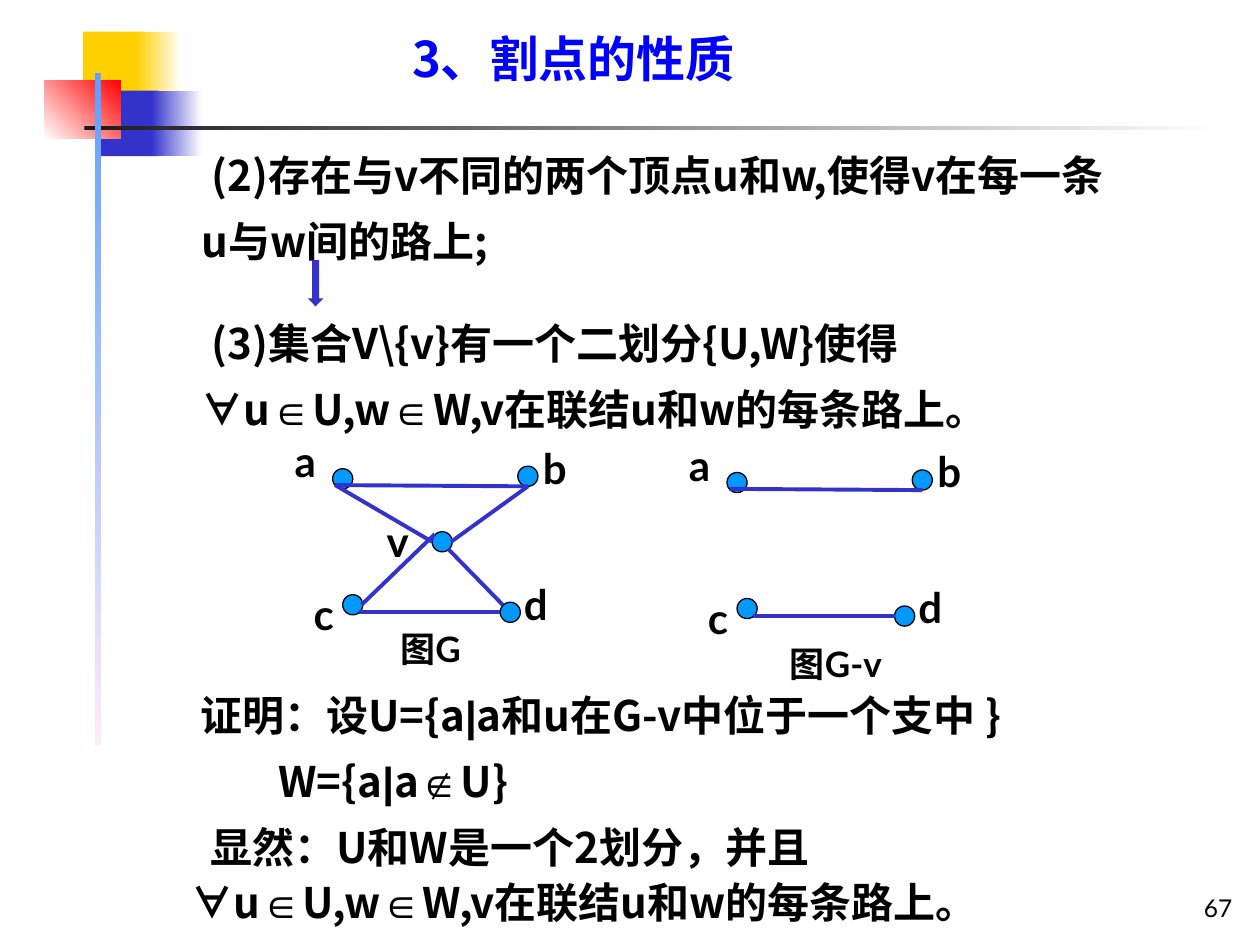
import itertools
from typing import NamedTuple

import pptx
import pptx.dml.color
import pptx.enum.shapes
import pptx.enum.text
import pptx.oxml.ns
import pptx.util
from lxml import etree

Inches = pptx.util.Inches
Pt = pptx.util.Pt
Kind = pptx.enum.shapes.MSO_SHAPE
Anchor = pptx.enum.text.MSO_ANCHOR
Align = pptx.enum.text.PP_ALIGN
Fit = pptx.enum.text.MSO_AUTO_SIZE
qn = pptx.oxml.ns.qn

HUES = {
    "gold": "FFCF01", "white": "FFFFFF", "navy": "3333CC", "red": "FF0000",
    "coal": "1C1C1C", "sky": "5E9EFF", "pink": "FFEBFA", "black": "000000",
    "mint": "00E4A8", "node": "0099FF", "title": "0000FF",
}
HAN = "Noto Sans CJK SC"
LATIN = "Lato"
MATH = "∀∈∉|"
SHIFT = (3.13, 0.03)


class Para(NamedTuple):
    text: str
    first: float = 0
    left: float = 0
    lead: float = 1
    gap: float = 0


class Block(NamedTuple):
    x: float
    y: float
    w: float
    h: float
    fill: str
    end: str = ""
    angle: int = 0


class Label(NamedTuple):
    text: str
    x: float
    y: float
    w: float


class Edge(NamedTuple):
    x1: float
    y1: float
    x2: float
    y2: float


BLOCKS = [
    Block(0.66, 0.25, 0.48, 0.52, "gold"),
    Block(1.08, 0.25, 0.36, 0.52, "gold", "white"),
    Block(0.8, 0.72, 0.46, 0.52, "navy"),
    Block(1.2, 0.72, 0.4, 0.52, "navy", "white"),
    Block(0.35, 0.64, 0.61, 0.46, "white", "red", 45),
    Block(0.67, 1, 9, 0.03, "coal", "white"),
    Block(0.75, 0.58, 0.05, 5.33, "sky", "pink", 270),
]
NODES = [(2.64, 3.72), (4.11, 3.7), (2.72, 4.72), (3.97, 4.78)]
HUB = (3.43, 4.22)
LABELS = [
    Label("a", 2.24, 3.41, 0.4), Label("b", 4.21, 3.46, 0.41),
    Label("c", 2.39, 4.62, 0.37), Label("d", 4.06, 4.54, 0.41),
]
SIDES = [Edge(2.66, 3.85, 4.19, 3.86), Edge(2.85, 4.86, 3.97, 4.86)]
SPOKES = [
    Edge(2.66, 3.85, 3.43, 4.3), Edge(3.58, 4.3, 4.19, 3.86),
    Edge(3.45, 4.24, 2.87, 4.8), Edge(3.56, 4.36, 3.99, 4.8),
]
NAMES = [Label("图G", 3.08, 4.93, 0.84), Label("图G-v", 6.17, 5.05, 1.2)]
CLAIM = "∀u∈U,w∈W,v在联结u和w的每条路上。"
TERMS = [
    Para("(2)存在与v不同的两个顶点u和w,使得v在每一条u与w间的路上;", 0.08, 0.38, 1.3),
    Para("(3)集合V\\{v}有一个二划分{U,W}使得" + CLAIM, 0.08, 0.38, 1.3, 21),
]
PROOF = [
    Para("证明：设U={a|a和u在G-v中位于一个支中 }", 0.07, 0.38, 1.1),
    Para("W={a|a∉U}", 0.69, 0.38, 1.1, 6),
    Para("显然：U和W是一个2划分，并且" + CLAIM, 0.15, 0.38, 1.1, 6),
]


def tint(name: str) -> pptx.dml.color.RGBColor:
    return pptx.dml.color.RGBColor.from_string(HUES[name])


def put_text(slide, paras: list[Para], x: float, y: float, w: float, h: float, *,
             size=24, font=LATIN, hue="black", bold=True, pad=True, wrap=False,
             align=Align.LEFT, anchor=Anchor.TOP, fit=Fit.SHAPE_TO_FIT_TEXT) -> None:
    box = slide.shapes.add_textbox(Inches(x), Inches(y), Inches(w), Inches(h))
    frame = box.text_frame
    frame.word_wrap = wrap
    frame.auto_size = fit
    frame.vertical_anchor = anchor
    if not pad:
        frame.margin_left = frame.margin_right = 0
        frame.margin_top = frame.margin_bottom = 0
    for i, para in enumerate(paras):
        line = frame.add_paragraph() if i else frame.paragraphs[0]
        line.alignment = align
        line.line_spacing = para.lead
        line.space_before = Pt(para.gap)
        props = line._p.get_or_add_pPr()
        props.set("marL", str(Inches(para.left)))
        props.set("indent", str(Inches(para.first)))
        for sign, chars in itertools.groupby(para.text, lambda c: c in MATH):
            run = line.add_run()
            run.text = "".join(chars)
            run.font.size = Pt(size)
            run.font.bold = bold
            run.font.color.rgb = tint(hue)
            run.font.name = "Arial" if sign else font
            east = etree.SubElement(run.font._element, qn("a:ea"))
            east.set("typeface", HAN)


def put_shape(slide, kind: Kind, x: float, y: float, w: float, h: float,
              fill: str, line: str = "", width: float = 0):
    shape = slide.shapes.add_shape(kind, Inches(x), Inches(y), Inches(w), Inches(h))
    shape.shadow.inherit = False
    shape.fill.solid()
    shape.fill.fore_color.rgb = tint(fill)
    if line:
        shape.line.color.rgb = tint(line)
        shape.line.width = Pt(width)
        join = etree.SubElement(shape._element.spPr.find(qn("a:ln")), qn("a:miter"))
        join.set("lim", "800000")
    else:
        shape.line.fill.background()
    return shape


def put_block(slide, block: Block) -> None:
    shape = put_shape(slide, Kind.RECTANGLE, *block[:5])
    if block.end:
        shape.fill.gradient()
        shape.fill.gradient_angle = block.angle
        for stop, name, spot in zip(shape.fill.gradient_stops, (block.fill, block.end), (0, 1)):
            stop.color.rgb = tint(name)
            stop.position = spot


def put_node(slide, x: float, y: float) -> None:
    put_shape(slide, Kind.OVAL, x, y, 0.16, 0.16, "node", "black", 0.75)


def put_edge(slide, edge: Edge, dx: float = 0, dy: float = 0) -> None:
    link = slide.shapes.add_connector(
        pptx.enum.shapes.MSO_CONNECTOR.STRAIGHT,
        Inches(edge.x1 + dx), Inches(edge.y1 + dy),
        Inches(edge.x2 + dx), Inches(edge.y2 + dy))
    link.line.color.rgb = tint("navy")
    link.line.width = Pt(2.25)
    etree.SubElement(link._element.spPr, qn("a:effectLst"))


def put_graph(slide, dx: float = 0, dy: float = 0) -> None:
    for x, y in NODES:
        put_node(slide, x + dx, y + dy)
    for text, x, y, w in LABELS:
        put_text(slide, [Para(text)], x + dx, y + dy, w, 0.5)
    for edge in SIDES:
        put_edge(slide, edge, dx, dy)


def main() -> None:
    deck = pptx.Presentation()
    deck.slide_width, deck.slide_height = Inches(10), Inches(7.5)
    slide = deck.slides.add_slide(deck.slide_layouts[6])
    for block in BLOCKS:
        put_block(slide, block)
    put_text(slide, [Para("67")], 7.8, 6.87, 2.08, 0.5, size=14, bold=False,
             wrap=True, align=Align.RIGHT, anchor=Anchor.BOTTOM, fit=Fit.NONE)
    put_text(slide, TERMS, 1.22, 1.07, 7.64, 2.36, font=HAN, pad=False, wrap=True)
    put_shape(slide, Kind.DOWN_ARROW, 2.48, 2.08, 0.05, 0.33, "mint", "navy", 2.25)
    put_graph(slide)
    put_node(slide, *HUB)
    for edge in SPOKES:
        put_edge(slide, edge)
    put_text(slide, [Para("v")], 2.97, 4.04, 0.39, 0.5)
    put_graph(slide, *SHIFT)
    for text, x, y, w in NAMES:
        put_text(slide, [Para(text)], x, y, w, 0.44, size=20)
    put_text(slide, PROOF, 1.14, 5.43, 7.64, 2.37, font=HAN, pad=False, wrap=True)
    put_text(slide, [Para("3、割点的性质", lead=0.9)], 3.27, 0.28, 3.41, 0.42,
             size=28, font=HAN, hue="title", pad=False)
    deck.save("out.pptx")


if __name__ == "__main__":
    main()
